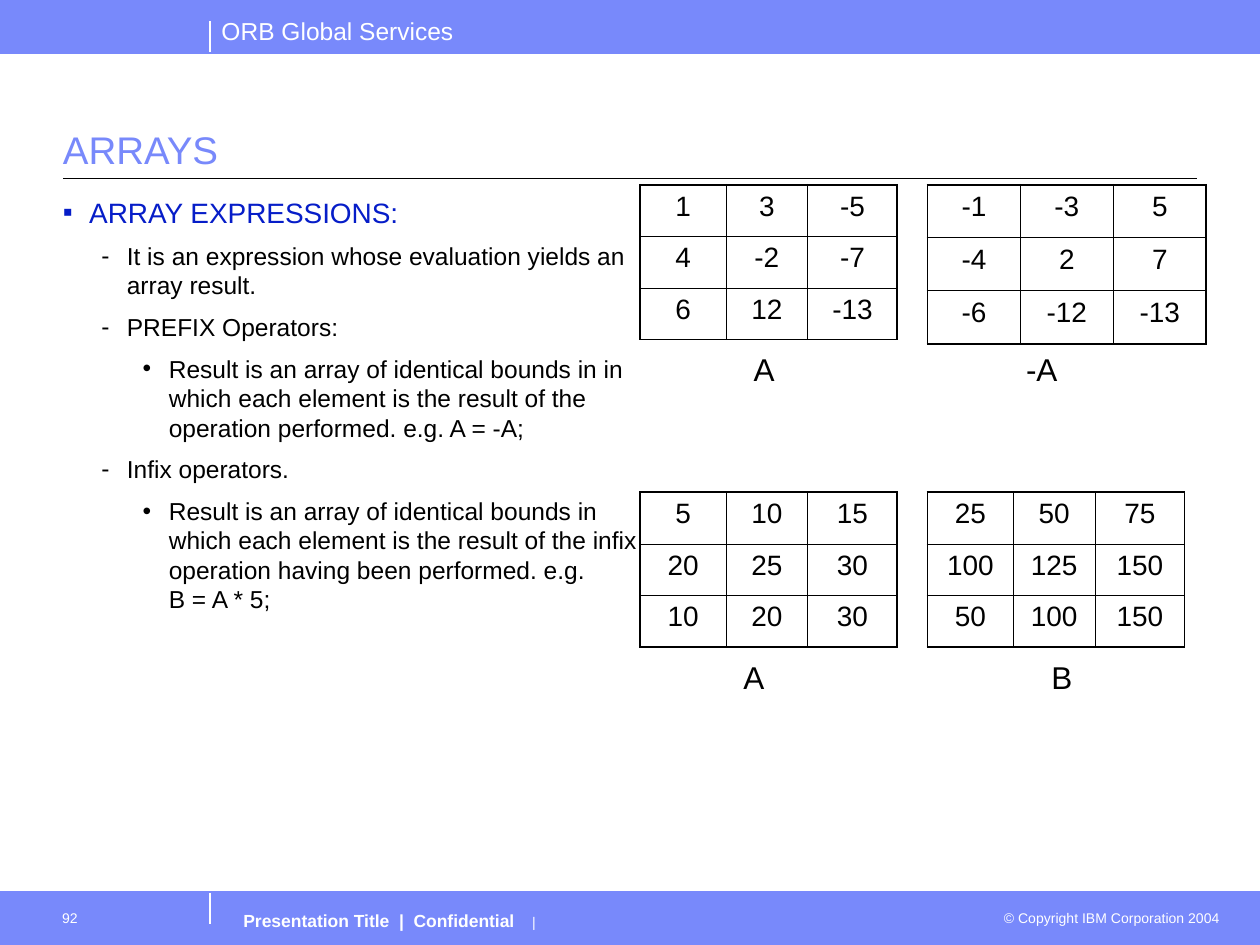
from lxml.etree import SubElement
from pptx import Presentation
from pptx.dml.color import RGBColor
from pptx.enum.shapes import MSO_CONNECTOR, MSO_SHAPE
from pptx.enum.text import MSO_ANCHOR, PP_ALIGN
from pptx.oxml.ns import qn
from pptx.util import Pt

BLUE, NAVY, BLACK, WHITE = "7889FB", "061DC8", "000000", "FFFFFF"
WIDTH, HEIGHT, BAND = 720, 540, 30.24
FOOTER_TOP = HEIGHT - BAND

deck = Presentation()
deck.slide_width, deck.slide_height = Pt(WIDTH), Pt(HEIGHT)
slide = deck.slides.add_slide(deck.slide_layouts[6])
shapes = slide.shapes


def write(paragraph, text, size=14, color=BLACK, bold=False, align=PP_ALIGN.LEFT):
    """Add text to the paragraph; a newline in it becomes a line break."""
    paragraph.alignment = align
    for number, line in enumerate(text.split("\n")):
        if number:
            paragraph.add_line_break()
            line_break = paragraph._p.findall(qn("a:br"))[-1]
            SubElement(line_break, qn("a:rPr"), sz=str(size * 100))
        run = paragraph.add_run()
        run.text = line
        run.font.name = "Arial"
        run.font.size = Pt(size)
        run.font.bold = bold
        run.font.color.rgb = RGBColor.from_string(color)


def text_frame(left, top, width, height, side=0, upper=3.6):
    """Add a text box with the given side and upper insets; return its frame."""
    frame = shapes.add_textbox(Pt(left), Pt(top), Pt(width), Pt(height)).text_frame
    frame.margin_left = frame.margin_right = Pt(side)
    frame.margin_top, frame.margin_bottom = Pt(upper), Pt(3.6)
    frame.word_wrap = True
    return frame


# Header and footer bands
for band_top in (FOOTER_TOP, 0):
    band = shapes.add_shape(MSO_SHAPE.RECTANGLE, 0, Pt(band_top), Pt(WIDTH), Pt(BAND))
    band.shadow.inherit = False
    band.fill.solid()
    band.fill.fore_color.rgb = RGBColor.from_string(BLUE)
    band.line.color.rgb = RGBColor.from_string(BLUE)
    band.line.width = Pt(0.75)

# Rules: x1, y1, x2, y2, colour, weight
for x1, y1, x2, y2, color, weight in (
    (120, BAND, 120, 12.24, WHITE, 0.75),
    (120, FOOTER_TOP + 18, 120, FOOTER_TOP, WHITE, 0.75),
    (0, BAND, WIDTH, BAND, BLUE, 0.5),
    (0, FOOTER_TOP, WIDTH, FOOTER_TOP, BLUE, 0.5),
    (36, 102, 684, 102, BLACK, 0.75),
):
    rule = shapes.add_connector(MSO_CONNECTOR.STRAIGHT, Pt(x1), Pt(y1), Pt(x2), Pt(y2))
    rule.line.color.rgb = RGBColor.from_string(color)
    rule.line.width = Pt(weight)
    SubElement(rule._element.spPr, qn("a:effectLst"))

header = text_frame(119.5, 5.76, 180, 24.48, side=7.2)
write(header.paragraphs[0], "ORB Global Services", color=WHITE)

copyright_line = text_frame(563.76, 516.24, 140.4, 17.28, side=7.2)
write(copyright_line.paragraphs[0], "© Copyright IBM Corporation 2004", size=8,
      color=WHITE, align=PP_ALIGN.RIGHT)

footer = text_frame(132, 515, 324, 25, side=7.2, upper=5).paragraphs[0]
tabs = SubElement(footer._p.get_or_add_pPr(), qn("a:tabLst"))
SubElement(tabs, qn("a:tab"), pos=str(Pt(165)), algn="l")
write(footer, "Presentation Title  |  Confidential", size=10, color=WHITE, bold=True)
write(footer, "\t|", size=8, color=WHITE)

page_number = text_frame(24, 515, 96, 25, side=11.5, upper=5)
write(page_number.paragraphs[0], "92", size=8, color=WHITE)

title = text_frame(36, 36, 648, 66)
title.vertical_anchor = MSO_ANCHOR.BOTTOM
write(title.paragraphs[0], "ARRAYS", size=22, color=BLUE)

# Outline levels: bullet, left margin, hanging indent, size, colour
levels = (
    ("▪", 15, 15, 16, NAVY),
    ("-", 36.5, 14.5, 14, BLACK),
    ("•", 60.5, 15, 14, BLACK),
)
outline = (
    (0, "ARRAY EXPRESSIONS:"),
    (1, "It is an expression whose evaluation yields an array result."),
    (1, "PREFIX Operators:"),
    (2, "Result is an array of identical bounds in in which each element is the "
        "result of the operation performed. e.g. A = -A;"),
    (1, "Infix operators."),
    (2, "Result is an array of identical bounds in which each element is the "
        "result of the infix operation having been performed. e.g.\nB = A * 5;"),
)
body = text_frame(36, 108, 330, 396)
for number, (level, text) in enumerate(outline):
    bullet, margin, hanging, size, color = levels[level]
    point = body.add_paragraph() if number else body.paragraphs[0]
    point.level = level
    if number:
        point.space_before = Pt(7)
    properties = point._p.get_or_add_pPr()
    properties.set("marL", str(Pt(margin)))
    properties.set("indent", str(-Pt(hanging)))
    SubElement(SubElement(properties, qn("a:buClr")), qn("a:srgbClr"), val=color)
    SubElement(properties, qn("a:buFont"), typeface="Arial")
    SubElement(properties, qn("a:buChar"), char=bullet)
    write(point, text, size=size, color=color)

# Matrices: left, top, column widths, row height, values, label, label left
NARROW = (49, 46.8, 51.1)
EVEN = (53.1, 53.1, 53.1)
LEFT, RIGHT, UPPER, LOWER = 365.8, 530, 105.6, 281.3
matrices = (
    (LEFT, UPPER, NARROW, 29.5, ((1, 3, -5), (4, -2, -7), (6, 12, -13)), "A", 416.9),
    (RIGHT, UPPER, EVEN, 30.3, ((-1, -3, 5), (-4, 2, 7), (-6, -12, -13)), "-A", 575.5),
    (LEFT, LOWER, NARROW, 29.5, ((5, 10, 15), (20, 25, 30), (10, 20, 30)), "A", 411),
    (RIGHT, LOWER, NARROW, 29.5, ((25, 50, 75), (100, 125, 150), (50, 100, 150)), "B", 587),
)
for left, top, widths, row_height, values, label, label_left in matrices:
    matrix = shapes.add_table(3, 3, Pt(left), Pt(top), Pt(sum(widths)),
                              Pt(3 * row_height)).table
    matrix.first_row = matrix.horz_banding = False
    for column, width in zip(matrix.columns, widths):
        column.width = Pt(width)
    for r, row_values in enumerate(values):
        matrix.rows[r].height = Pt(row_height)
        for c, value in enumerate(row_values):
            cell = matrix.cell(r, c)
            write(cell.text_frame.paragraphs[0], str(value), size=16,
                  align=PP_ALIGN.CENTER)
            borders = cell._tc.get_or_add_tcPr()
            for side, outer in (("L", c == 0), ("R", c == 2), ("T", r == 0), ("B", r == 2)):
                border = SubElement(borders, qn(f"a:ln{side}"),
                                    w=str(Pt(1.08 if outer else 0.45)))
                ink = SubElement(border, qn("a:solidFill"))
                SubElement(ink, qn("a:srgbClr"), val=BLACK)
            cell.fill.background()
    caption = text_frame(label_left, top + 91, 39.6, 31.7)
    write(caption.paragraphs[0], label, size=18, align=PP_ALIGN.CENTER)

deck.save("out.pptx")
